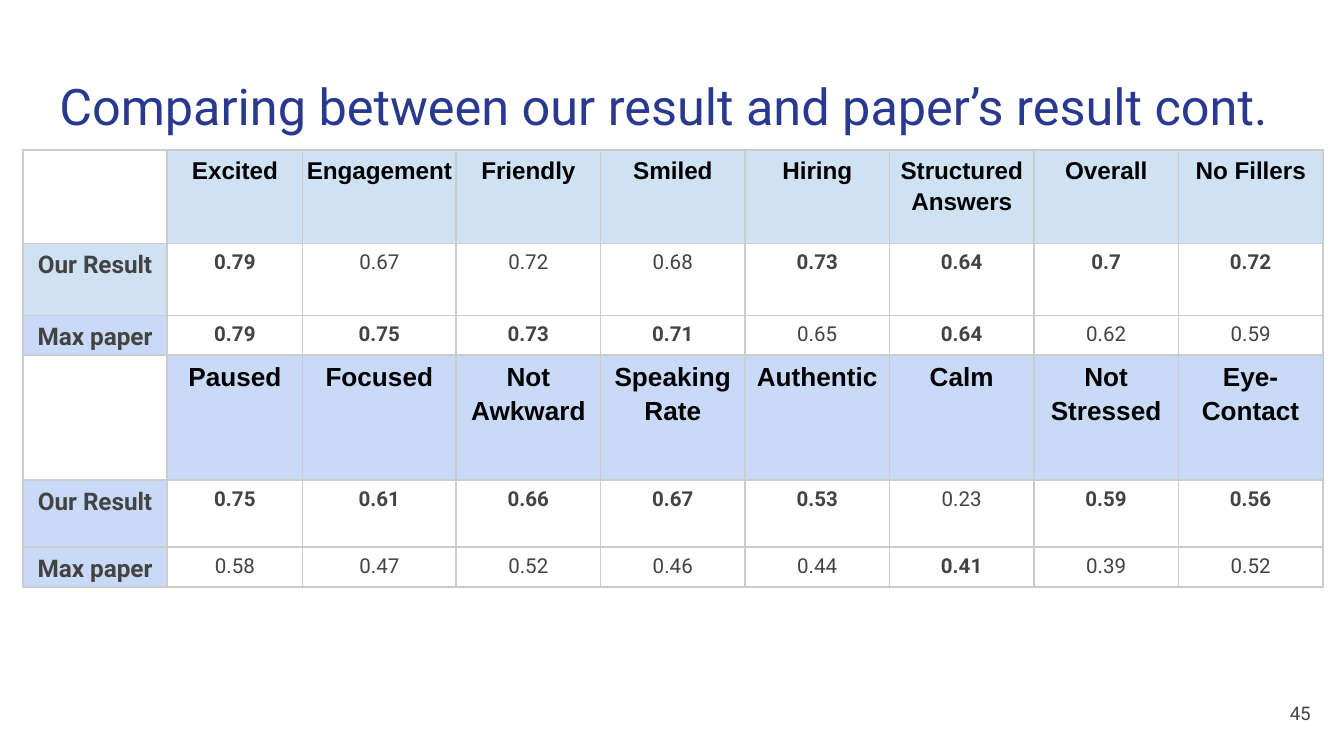
from dataclasses import dataclass

from lxml.etree import SubElement
from pptx import Presentation
from pptx.dml.color import RGBColor
from pptx.enum.text import MSO_ANCHOR, MSO_AUTO_SIZE, PP_ALIGN
from pptx.oxml.ns import qn
from pptx.util import Cm, Pt

COLORS = {
    "title": "2A3990",
    "header": "000000",
    "body": "434343",
    "border": "CCCCCC",
    "white": "FFFFFF",
    "sky": "CFE2F3",
    "periwinkle": "C9DAF8",
}
COLUMN_WIDTHS = [2.73, 2.56, 2.9] + [2.73] * 6
CELL_MARGIN = Cm(0.07)
BOX_MARGIN = Cm(0.25)


@dataclass(frozen=True)
class TextStyle:
    size: int
    font: str
    color: str
    bold: bool = False


@dataclass(frozen=True)
class ScoreBlock:
    headings: list[str]
    our_scores: list[str]
    paper_scores: list[str]
    heading_size: int
    heading_fill: str
    our_fill: str
    paper_fill: str
    row_heights: tuple[float, float, float]


BLOCKS = [
    ScoreBlock(
        ["Excited", "Engagement", "Friendly", "Smiled", "Hiring",
         "Structured Answers", "Overall", "No Fillers"],
        ["0.79", "0.67", "0.72", "0.68", "0.73", "0.64", "0.7", "0.72"],
        ["0.79", "0.75", "0.73", "0.71", "0.65", "0.64", "0.62", "0.59"],
        13, "sky", "sky", "periwinkle", (1.77, 1.36, 0.74),
    ),
    ScoreBlock(
        ["Paused", "Focused", "Not Awkward", "Speaking Rate", "Authentic",
         "Calm", "Not Stressed", "Eye- Contact"],
        ["0.75", "0.61", "0.66", "0.67", "0.53", "0.23", "0.59", "0.56"],
        ["0.58", "0.47", "0.52", "0.46", "0.44", "0.41", "0.39", "0.52"],
        14, "periwinkle", "periwinkle", "periwinkle", (2.36, 1.27, 0.74),
    ),
]


def add_text(paragraph, text: str, style: TextStyle) -> None:
    run = paragraph.add_run()
    run.text = text
    run.font.size = Pt(style.size)
    run.font.name = style.font
    run.font.bold = style.bold
    run.font.color.rgb = RGBColor.from_string(COLORS[style.color])


def set_margins(target, margin: int) -> None:
    target.margin_left = target.margin_right = margin
    target.margin_top = target.margin_bottom = margin


def add_borders(cell) -> None:
    properties = cell._tc.get_or_add_tcPr()
    for position, side in enumerate(("lnL", "lnR", "lnT", "lnB")):
        line = SubElement(properties, qn(f"a:{side}"), w=str(Pt(1)))
        fill = SubElement(line, qn("a:solidFill"))
        SubElement(fill, qn("a:srgbClr"), val=COLORS["border"])
        properties.insert(position, line)


def format_cell(cell, fill: str, text: str = "", style: TextStyle | None = None) -> None:
    set_margins(cell, CELL_MARGIN)
    cell.fill.solid()
    cell.fill.fore_color.rgb = RGBColor.from_string(COLORS[fill])
    add_borders(cell)
    if style:
        paragraph = cell.text_frame.paragraphs[0]
        paragraph.alignment = PP_ALIGN.CENTER
        paragraph.line_spacing = 1.15
        paragraph.space_after = Pt(12)
        add_text(paragraph, text, style)


def fill_scores(table, row: int, label: str, fill: str,
                scores: list[str], rivals: list[str]) -> None:
    format_cell(table.cell(row, 0), fill, label, TextStyle(13, "Roboto", "body", True))
    for column, (score, rival) in enumerate(zip(scores, rivals), start=1):
        style = TextStyle(11, "Roboto", "body", float(score) >= float(rival))
        format_cell(table.cell(row, column), "white", score, style)


def fill_block(table, first_row: int, block: ScoreBlock) -> None:
    for offset, height in enumerate(block.row_heights):
        table.rows[first_row + offset].height = Cm(height)
    format_cell(table.cell(first_row, 0), "white")
    heading_style = TextStyle(block.heading_size, "Arial", "header", True)
    for column, heading in enumerate(block.headings, start=1):
        format_cell(table.cell(first_row, column), block.heading_fill, heading, heading_style)
    fill_scores(table, first_row + 1, "Our Result", block.our_fill,
                block.our_scores, block.paper_scores)
    fill_scores(table, first_row + 2, "Max paper", block.paper_fill,
                block.paper_scores, block.our_scores)


def add_title(slide) -> None:
    title = slide.shapes.title
    title.left, title.top = Cm(0.87), Cm(1.14)
    title.width, title.height = Cm(23.67), Cm(1.68)
    frame = title.text_frame
    frame.word_wrap = True
    frame.auto_size = MSO_AUTO_SIZE.NONE
    frame.vertical_anchor = MSO_ANCHOR.BOTTOM
    set_margins(frame, BOX_MARGIN)
    paragraph = frame.paragraphs[0]
    paragraph.alignment = PP_ALIGN.LEFT
    add_text(paragraph, "Comparing between our result and paper’s result cont.",
             TextStyle(27, "Roboto", "title"))


def add_score_table(slide) -> None:
    height = sum(sum(block.row_heights) for block in BLOCKS)
    table = slide.shapes.add_table(
        3 * len(BLOCKS), len(COLUMN_WIDTHS),
        Cm(0.43), Cm(2.83), Cm(sum(COLUMN_WIDTHS)), Cm(height),
    ).table
    table.first_row = False
    table.horz_banding = False
    for column, width in zip(table.columns, COLUMN_WIDTHS):
        column.width = Cm(width)
    for index, block in enumerate(BLOCKS):
        fill_block(table, 3 * index, block)


def add_page_number(slide) -> None:
    frame = slide.shapes.add_textbox(Cm(23.5), Cm(12.93), Cm(1.52), Cm(1.09)).text_frame
    frame.word_wrap = True
    frame.vertical_anchor = MSO_ANCHOR.MIDDLE
    set_margins(frame, BOX_MARGIN)
    paragraph = frame.paragraphs[0]
    paragraph.alignment = PP_ALIGN.RIGHT
    add_text(paragraph, "45", TextStyle(10, "Roboto", "body"))


def main() -> None:
    presentation = Presentation()
    presentation.slide_width = Cm(25.4)
    presentation.slide_height = Cm(14.29)
    slide = presentation.slides.add_slide(presentation.slide_layouts[5])
    add_title(slide)
    add_score_table(slide)
    add_page_number(slide)
    presentation.save("out.pptx")


if __name__ == "__main__":
    main()
